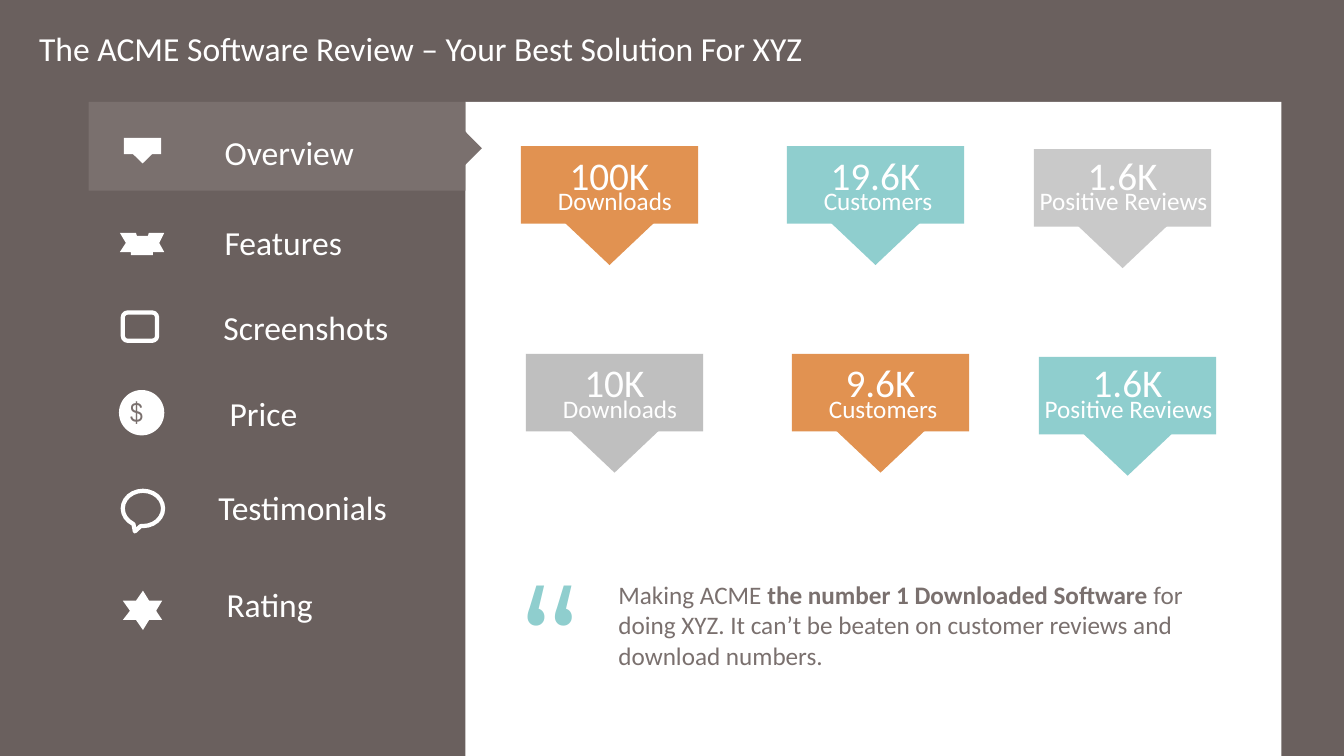
"""Build the software review overview slide with its menu, badges and quote."""
from pptx import Presentation
from pptx.dml.color import RGBColor
from pptx.enum.shapes import MSO_SHAPE as KIND
from pptx.enum.text import PP_ALIGN
from pptx.util import Pt

WHITE = RGBColor(0xFF, 0xFF, 0xFF)
BROWN = RGBColor(0x6A, 0x60, 0x5E)
TAUPE = RGBColor(0x7A, 0x70, 0x6E)
ORANGE = RGBColor(0xE1, 0x92, 0x51)
TEAL = RGBColor(0x8F, 0xCE, 0xCE)
SILVER = RGBColor(0xC9, 0xC9, 0xC9)
GREY = RGBColor(0xBF, 0xBF, 0xBF)

TITLE = "The ACME Software Review – Your Best Solution For XYZ"
MENU = [
    ("Overview", 153.4, 90.7),
    ("Features", 153.4, 154.8),
    ("Screenshots", 152.6, 216),
    ("Price", 157, 277.2),
    ("Testimonials", 149, 344.2),
    ("Rating", 154.8, 413.3),
]
COLS = [
    ("Downloads", 372.2, 0, 19.4),
    ("Customers", 562.3, 0, 19.4),
    ("Positive Reviews", 738.9, 2.2, -3),
]
ROWS = [
    (0, 104.4, [("100K", ORANGE), ("19.6K", TEAL), ("1.6K", SILVER)]),
    (3.6, 252.7, [("10K", GREY), ("9.6K", ORANGE), ("1.6K", TEAL)]),
]
QUOTE = [
    ("Making ACME ", False),
    ("the number 1 Downloaded Software ", True),
    ("for doing XYZ. It can’t be beaten on customer reviews "
     "and download numbers.", False),
]
STAR = [
    (87.8, 429.1), (97.2, 429.1), (102.2, 421.9), (106.6, 429.1),
    (115.9, 429.1), (111.6, 436.3), (115.9, 442.8), (106.6, 442.8),
    (102.2, 450), (97.2, 442.8), (87.8, 442.8), (92.9, 436.3),
]
RIBBON = [
    (85.7, 166.3), (97.2, 166.3), (97.9, 168.5), (105.8, 168.5),
    (106.4, 166.3), (117.4, 166.3), (113.8, 173.5), (117.4, 180),
    (109.4, 180), (109.4, 182.2), (93.6, 182.2), (93.6, 180),
    (85.7, 180), (90, 173.5),
]
BADGE_W, BADGE_H = 126.7, 55.4
TIP_W, TIP_H, TIP_DROP = 92.9, 43.9, 41

deck = Presentation()
deck.slide_width, deck.slide_height = Pt(960.5), Pt(540)
slide = deck.slides.add_slide(deck.slide_layouts[6])
slide.background.fill.solid()
slide.background.fill.fore_color.rgb = BROWN


def paint(item, color):
    item.shadow.inherit = False
    item.fill.solid()
    item.fill.fore_color.rgb = color
    item.line.fill.background()


def block(kind, x, y, w, h, color, turn=0):
    item = slide.shapes.add_shape(kind, Pt(x), Pt(y), Pt(w), Pt(h))
    paint(item, color)
    item.rotation = turn
    return item


def outline(kind, x, y, w, h, adjust):
    item = block(kind, x, y, w, h, WHITE)
    item.fill.background()
    item.line.color.rgb = WHITE
    item.line.width = Pt(3)
    for i, value in enumerate(adjust):
        item.adjustments[i] = value


def polygon(points):
    start, *rest = [(Pt(x), Pt(y)) for x, y in points]
    path = slide.shapes.build_freeform(*start)
    path.add_line_segments(rest, close=True)
    paint(path.convert_to_shape(), WHITE)


def write(runs, x, y, w, h, size, color=WHITE, face="Calibri",
          align=PP_ALIGN.LEFT):
    frame = slide.shapes.add_textbox(Pt(x), Pt(y), Pt(w), Pt(h)).text_frame
    frame.word_wrap = True
    para = frame.paragraphs[0]
    para.alignment = align
    for words, bold in runs:
        run = para.add_run()
        run.text = words
        style = {"name": face, "size": Pt(size), "bold": bold}
        for name, value in style.items():
            setattr(run.font, name, value)
        run.font.color.rgb = color


def badge(x, y, drop, shift, value, label, color):
    block(KIND.RECTANGLE, x, y + drop, BADGE_W, BADGE_H, color)
    block(KIND.ISOSCELES_TRIANGLE, x + (BADGE_W - TIP_W) / 2,
          y + drop + TIP_DROP, TIP_W, TIP_H, color, 180)
    write([(value, False)], x, y, BADGE_W, 41, 28, align=PP_ALIGN.CENTER)
    write([(label, False)], x + shift, y + 24.5, 144, 29, 18)


block(KIND.RECTANGLE, 332.6, 72.7, 583.2, 467.3, WHITE)
write([(TITLE, False)], 20.9, 16.6, 643, 36, 24)

for dx, top, cells in ROWS:
    for (label, left, drop, shift), (value, color) in zip(COLS, cells):
        badge(left + dx, top, drop, shift, value, label, color)

write(QUOTE, 434.9, 410.4, 453.6, 72, 18, TAUPE)
write([("“", False)], 364.3, 385.2, 80, 145.4, 115, TEAL, "Montserrat")

block(KIND.RECTANGLE, 63.4, 72.7, 269.3, 63.4, TAUPE)
block(KIND.RIGHT_TRIANGLE, 321.8, 96.5, 18.7, 18.7, TAUPE, 225.3)
for label, x, y in MENU:
    write([(label, False)], x, y, 170, 36, 24)

block(KIND.RECTANGLE, 88.6, 98.6, 26.6, 11.5, WHITE)
block(KIND.ISOSCELES_TRIANGLE, 92.2, 107.3, 19.4, 9.4, WHITE, 180)
polygon(RIBBON)
outline(KIND.ROUNDED_RECTANGLE, 87.8, 223.2, 24.5, 20.2, [0.17])
block(KIND.OVAL, 85, 278.6, 32.4, 32.4, WHITE)
write([("$", False)], 86, 278.6, 30, 31.7, 20, TAUPE, "Arial Narrow")
outline(KIND.OVAL_CALLOUT, 87.8, 350.6, 28.8, 25.2, [-0.2, 0.65])
polygon(STAR)

deck.save("out.pptx")
